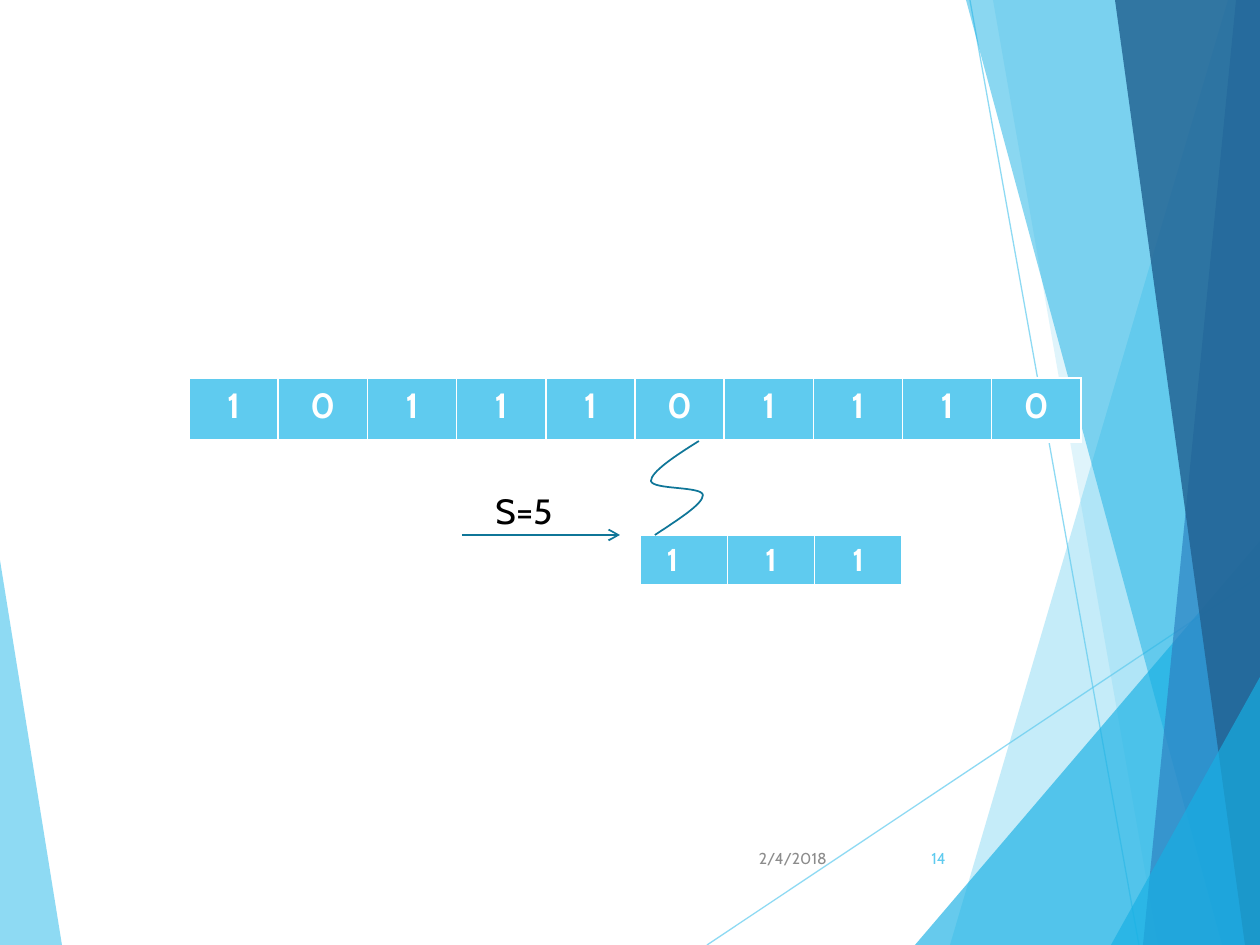
from lxml import etree
from pptx import Presentation
from pptx.dml.color import RGBColor
from pptx.enum.shapes import MSO_CONNECTOR as CONN
from pptx.enum.text import MSO_ANCHOR as ANCHOR, PP_ALIGN as ALIGN
from pptx.oxml.ns import qn
from pptx.util import Emu, Pt

WIDTH, HEIGHT = 1260, 945
SCALE = 914400 / 126
FONT = "Cabin"
SKY = RGBColor(0x5F, 0xCB, 0xEF)
CYAN = RGBColor(0x17, 0xB0, 0xE4)
BLUE = RGBColor(0x2E, 0x83, 0xC3)
NAVY = RGBColor(0x22, 0x62, 0x92)
TEAL = RGBColor(0x0F, 0x76, 0x98)
GREY = RGBColor(0x8C, 0x8C, 0x8C)
BLACK = RGBColor(0, 0, 0)
WHITE = RGBColor(0xFF, 0xFF, 0xFF)

LEFT_FACET = ([(0, 560), (62, 945), (0, 945)], SKY, 70)
RAYS = [((707, 945), (1260, 576)), ((970, 0), (1139, 945))]
RIGHT_FACETS = [
    ([(1228, 0), (950, 945), (1260, 945), (1260, 0)], SKY, 36),
    ([(993, 0), (1158, 945), (1260, 945), (1260, 0)], SKY, 20),
    ([(915, 945), (1260, 541), (1260, 945)], CYAN, 66),
    ([(966, 0), (1222, 945), (1260, 945), (1260, 0)], CYAN, 50),
    ([(1236, 0), (1143, 945), (1260, 945), (1260, 0)], BLUE, 70),
    ([(1115, 0), (1245, 945), (1260, 945), (1260, 0)], NAVY, 82),
    ([(1111, 945), (1260, 677), (1260, 945)], CYAN, 66),
]
INPUT_BITS = ("1011101110", (189, 378, 892, 63), 20)
WINDOW_BITS = ("111", (640, 535, 262, 51), 18)
SHIFT_ARROW = ((462, 535), (620, 535))
LINK_CURVE = [(699, 441), (675, 456), (651, 472), (651, 481), (653, 490),
              (702, 486), (703, 495), (703, 504), (679, 519), (655, 535)]
LABELS = [
    ("S=5", (483, 483, 94, 55), 20, BLACK, ALIGN.LEFT, ANCHOR.TOP),
    ("2/4/2018", (745, 833, 94, 50), 9, GREY, ALIGN.RIGHT, ANCHOR.MIDDLE),
    ("14", (888, 833, 70, 50), 9, SKY, ALIGN.RIGHT, ANCHOR.MIDDLE),
]


def px(n):
    return Emu(round(n * SCALE))


def set_alpha(parent, percent):
    color = next(parent.iter(qn("a:srgbClr")))
    etree.SubElement(color, qn("a:alpha")).set("val", str(percent * 1000))


def write(tf, text, size, color, align, bold=False):
    p = tf.paragraphs[0]
    p.alignment = align
    r = p.add_run()
    r.text = text
    r.font.name, r.font.size, r.font.bold = FONT, Pt(size), bold
    r.font.color.rgb = color


def add_outline(slide, points, close):
    builder = slide.shapes.build_freeform(*points[0], scale=SCALE)
    builder.add_line_segments(points[1:], close=close)
    s = builder.convert_to_shape()
    s.shadow.inherit = False
    return s


def add_facet(slide, points, color, alpha):
    s = add_outline(slide, points, True)
    s.fill.solid()
    s.fill.fore_color.rgb = color
    s.line.fill.background()
    set_alpha(s.fill._xPr.find(qn("a:solidFill")), alpha)


def add_line(slide, start, end, color, width):
    c = slide.shapes.add_connector(CONN.STRAIGHT, *map(px, start + end))
    c.line.color.rgb, c.line.width = color, Pt(width)
    etree.SubElement(c._element.spPr, qn("a:effectLst"))
    return c


def add_curve(slide, points, color):
    s = add_outline(slide, points, False)
    s.fill.background()
    s.line.color.rgb, s.line.width = color, Pt(1)
    outline = next(s._element.iter(qn("a:path")))
    segments = outline.findall(qn("a:lnTo"))
    for i in range(0, len(segments), 3):
        bezier = etree.SubElement(outline, qn("a:cubicBezTo"))
        for segment in segments[i:i + 3]:
            bezier.append(segment[0])
            outline.remove(segment)


def add_border(cell, side, width):
    ln = etree.SubElement(cell._tc.get_or_add_tcPr(), qn(f"a:ln{side}"), w=str(Pt(width)))
    fill = etree.SubElement(ln, qn("a:solidFill"))
    etree.SubElement(fill, qn("a:srgbClr"), val=str(WHITE))


def add_bits(slide, bits, box, size):
    table = slide.shapes.add_table(1, len(bits), *map(px, box)).table
    table.first_row = table.horz_banding = False
    for i, bit in enumerate(bits):
        table.columns[i].width = px(box[2] / len(bits))
        cell = table.cell(0, i)
        for side, width in zip("LRTB", (1, 1, 1, 3)):
            add_border(cell, side, width)
        cell.fill.solid()
        cell.fill.fore_color.rgb = SKY
        write(cell.text_frame, bit, size, WHITE, ALIGN.CENTER, True)
    return table


def add_label(slide, text, box, size, color, align, anchor):
    tf = slide.shapes.add_textbox(*map(px, box)).text_frame
    tf.word_wrap = True
    tf.vertical_anchor = anchor
    write(tf, text, size, color, align)


def main():
    """Build the slide showing a bit row and its window shifted by S."""
    prs = Presentation()
    prs.slide_width, prs.slide_height = px(WIDTH), px(HEIGHT)
    slide = prs.slides.add_slide(prs.slide_layouts[6])
    add_facet(slide, *LEFT_FACET)
    for start, end in RAYS:
        ray = add_line(slide, start, end, SKY, 0.75)
        set_alpha(ray.line._ln, 70)
    for facet in RIGHT_FACETS:
        add_facet(slide, *facet)
    add_bits(slide, *INPUT_BITS)
    window = add_bits(slide, *WINDOW_BITS)
    window.cell(0, 0).margin_right = px(35)
    arrow = add_line(slide, *SHIFT_ARROW, TEAL, 1)
    etree.SubElement(arrow.line._ln, qn("a:tailEnd"), type="arrow")
    add_curve(slide, LINK_CURVE, TEAL)
    for label in LABELS:
        add_label(slide, *label)
    prs.save("out.pptx")


if __name__ == "__main__":
    main()
